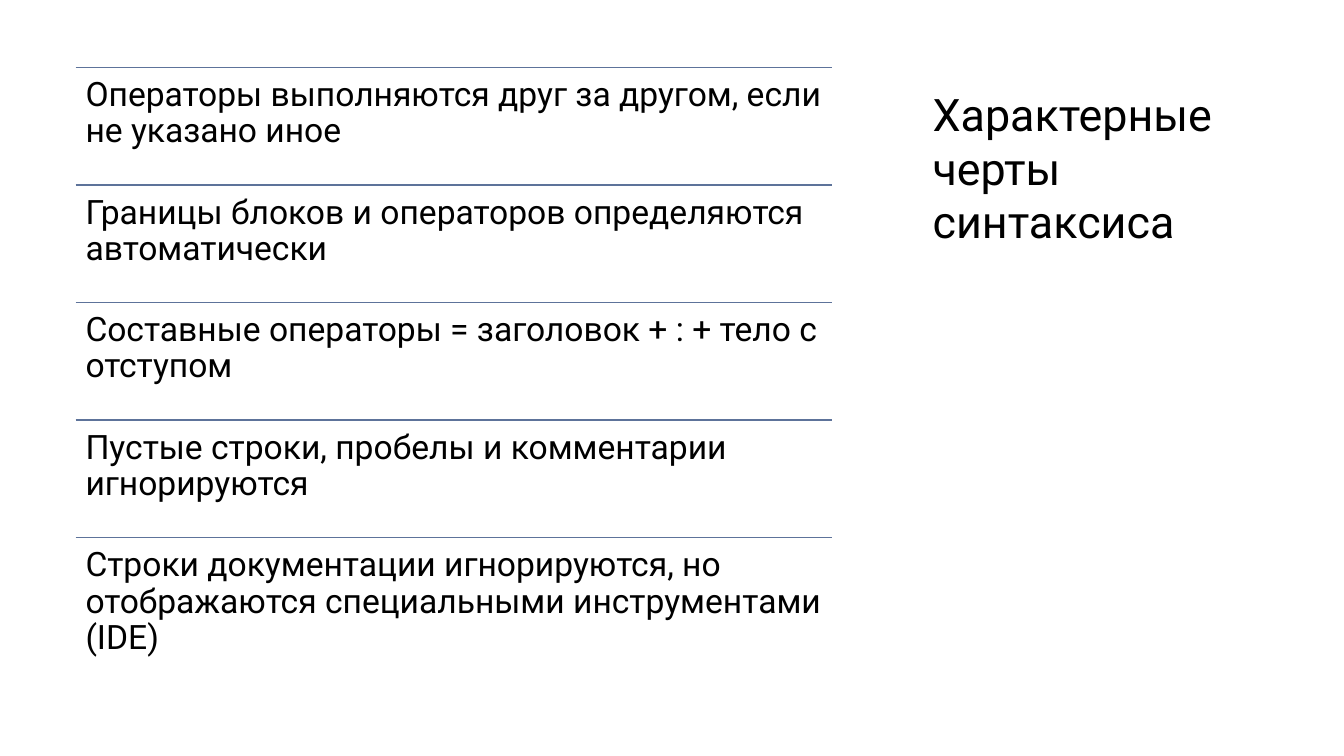
from dataclasses import dataclass

from lxml.etree import SubElement
from pptx import Presentation
from pptx.dml.color import RGBColor
from pptx.enum.shapes import MSO_CONNECTOR
from pptx.enum.text import MSO_ANCHOR
from pptx.oxml.ns import qn
from pptx.util import Inches, Pt


@dataclass(frozen=True)
class Theme:
    font: str = "Roboto"
    text: RGBColor = RGBColor(0x00, 0x00, 0x00)
    rule: RGBColor = RGBColor(0x5D, 0x73, 0x9A)
    title_size: int = 32
    body_size: int = 24
    rule_width: int = 1


THEME = Theme()

TITLE = "Характерные черты синтаксиса"
FEATURES = [
    "Операторы выполняются друг за другом, если не указано иное",
    "Границы блоков и операторов определяются автоматически",
    "Составные операторы = заголовок + : + тело с отступом",
    "Пустые строки, пробелы и комментарии игнорируются",
    "Строки документации игнорируются, но отображаются специальными инструментами (IDE)",
]


def add_text(s, box, text, size, anchor=MSO_ANCHOR.TOP, inset=0, spacing=1.0):
    tf = s.shapes.add_textbox(*map(Inches, box)).text_frame
    tf.word_wrap = True
    tf.vertical_anchor = anchor
    tf.margin_left = tf.margin_right = Inches(inset)
    tf.margin_top = tf.margin_bottom = Inches(inset)
    p = tf.paragraphs[0]
    p.line_spacing = spacing
    r = p.add_run()
    r.text = text
    r.font.name = THEME.font
    r.font.size = Pt(size)
    r.font.color.rgb = THEME.text


def add_rule(s, left, top, width):
    line = s.shapes.add_connector(
        MSO_CONNECTOR.STRAIGHT,
        Inches(left), Inches(top), Inches(left + width), Inches(top))
    line.line.color.rgb = THEME.rule
    line.line.width = Pt(THEME.rule_width)
    SubElement(line._element.spPr, qn("a:effectLst"))


def add_feature_list(s, box, features):
    """Equal rows, each with a rule along its top edge."""
    left, top, width, height = box
    row = height / len(features)
    for i, feature in enumerate(features):
        y = top + i * row
        add_rule(s, left, y, width)
        add_text(s, (left, y, width, row), feature, THEME.body_size,
                 inset=0.1, spacing=0.9)


def add_title(s, box, title):
    add_text(s, box, title, THEME.title_size, anchor=MSO_ANCHOR.BOTTOM)


def main():
    prs = Presentation()
    prs.slide_width, prs.slide_height = Inches(13.33), Inches(7.5)
    s = prs.slides.add_slide(prs.slide_layouts[6])

    # Title on the right, list of features on the left
    add_title(s, (9.25, 0.66, 3.46, 1.8), TITLE)
    add_feature_list(s, (0.75, 0.67, 7.5, 5.83), FEATURES)

    prs.save("out.pptx")


if __name__ == "__main__":
    main()
